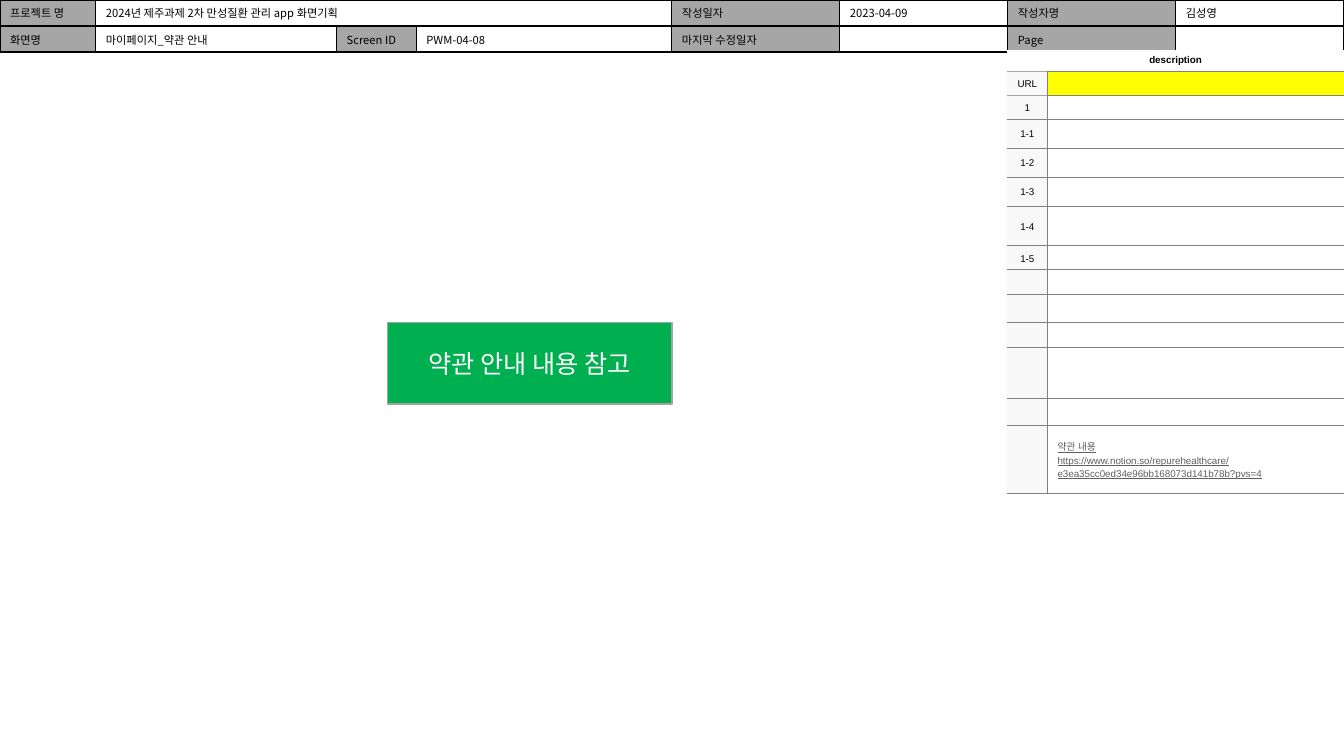
from lxml.etree import SubElement
from pptx import Presentation
from pptx.dml.color import RGBColor
from pptx.enum.shapes import MSO_SHAPE
from pptx.enum.text import MSO_ANCHOR, PP_ALIGN
from pptx.oxml.ns import qn
from pptx.util import Pt

BLACK = RGBColor(0x00, 0x00, 0x00)
WHITE = RGBColor(0xFF, 0xFF, 0xFF)
LABEL = RGBColor(0xA6, 0xA6, 0xA6)
GRID = RGBColor(0x80, 0x80, 0x80)
PALE = RGBColor(0xF8, 0xF8, 0xF8)
YELLOW = RGBColor(0xFF, 0xFF, 0x00)
GREEN = RGBColor(0x00, 0xB0, 0x50)
OUTLINE = RGBColor(0xA3, 0xA3, 0xA3)
LINK = RGBColor(0x5F, 0x5F, 0x5F)
NO_STYLE = "{2D5ABB26-0587-4C30-8999-92F81FD0307C}"
KOREAN = "Noto Sans CJK KR"
LATIN = "Arial"

HEADER = [
    ["프로젝트 명", "2024년 제주과제 2차 만성질환 관리 app 화면기획", "", "",
     "작성일자", "2023-04-09", "작성자명", "김성영"],
    ["화면명", "마이페이지_약관 안내", "Screen ID", "PWM-04-08",
     "마지막 수정일자", "", "Page", ""],
]
HEADER_COLS = [68.4, 172, 57, 182.6] + [120] * 4
TERMS = ("약관 내용\n"
         "https://www.notion.so/repurehealthcare/e3ea35cc0ed34e96bb168073d141b78b?pvs=4")
KEYS = ["URL", "1", "1-1", "1-2", "1-3", "1-4", "1-5"] + [""] * 6
DESC_ROWS = [15, 17.2, 17.2, 20.7, 20.7, 20.7, 28.5, 17.2, 17.2, 20.7, 17.2, 36.4, 20, 48.5]


class Deck:
    def __init__(self):
        self.prs = Presentation()
        self.prs.slide_width, self.prs.slide_height = Pt(960), Pt(540)
        self.s = self.prs.slides.add_slide(self.prs.slide_layouts[6])

    def text(self, tf, text, size, font, color=BLACK, align=PP_ALIGN.LEFT,
             spacing=None, bold=False, underline=None):
        tf.text = text
        for p in tf.paragraphs:
            p.alignment = align
            p.line_spacing = spacing
            for r in p.runs:
                f = r.font
                f.size, f.name, f.bold, f.underline = Pt(size), font, bold, underline
                f.color.rgb = color
                SubElement(f._element, qn("a:ea"), typeface=font)
            if not p.runs:
                SubElement(p._p, qn("a:endParaRPr"), sz=str(size * 100))

    def table(self, x, y, cols, rows):
        frame = self.s.shapes.add_table(len(rows), len(cols), Pt(x), Pt(y),
                                        Pt(sum(cols)), Pt(sum(rows)))
        table = frame.table
        table.first_row = table.horz_banding = False
        table._tbl.tblPr.find(qn("a:tableStyleId")).text = NO_STYLE
        for column, width in zip(table.columns, cols):
            column.width = Pt(width)
        for row, height in zip(table.rows, rows):
            row.height = Pt(height)
        return table

    def cell(self, cell, text, fill, borders, width, **style):
        cell.margin_top = cell.margin_bottom = 0
        cell.vertical_anchor = MSO_ANCHOR.MIDDLE
        self.text(cell.text_frame, text, **style)
        tc_pr = cell._tc.get_or_add_tcPr()
        for side in "LRTB":
            if side in borders:
                ln = SubElement(tc_pr, qn(f"a:ln{side}"), w=str(Pt(width)))
                solid = SubElement(ln, qn("a:solidFill"))
                SubElement(solid, qn("a:srgbClr"), val=str(borders[side]))
        if fill is None:
            cell.fill.background()
        else:
            cell.fill.solid()
            cell.fill.fore_color.rgb = fill

    def box(self, x, y, w, h, text, fill, line, **style):
        sp = self.s.shapes.add_shape(MSO_SHAPE.RECTANGLE, Pt(x), Pt(y), Pt(w), Pt(h))
        sp.shadow.inherit = False
        sp.fill.solid()
        sp.fill.fore_color.rgb = fill
        sp.line.color.rgb = line
        sp.line.width = Pt(1)
        sp.text_frame.vertical_anchor = MSO_ANCHOR.MIDDLE
        self.text(sp.text_frame, text, **style)


def add_header(deck):
    table = deck.table(0, 0, HEADER_COLS, [18.6] * 2)
    for i, row in enumerate(HEADER):
        for j, text in enumerate(row):
            label = j % 2 == 0 and (i, j) != (0, 2)
            deck.cell(table.cell(i, j), text, LABEL if label else None,
                      dict.fromkeys("LRTB", BLACK), 1, size=8, font=KOREAN)
    table.cell(0, 1).merge(table.cell(0, 3))


def add_description(deck):
    table = deck.table(719.4, 35.5, [28.8, 211.8], DESC_ROWS)
    center = dict(size=7, font=LATIN, align=PP_ALIGN.CENTER)
    for j, title in enumerate(["description", ""]):
        deck.cell(table.cell(0, j), title, WHITE, {"B": LABEL}, 0.25, bold=True, **center)
    table.cell(0, 0).merge(table.cell(0, 1))
    for i, key in enumerate(KEYS, 1):
        top = LABEL if i <= 2 else GRID
        bottom = LABEL if i == 1 else GRID
        deck.cell(table.cell(i, 0), key, PALE, {"R": GRID, "T": top, "B": bottom},
                  0.25, spacing=1.2, **center)
        deck.cell(table.cell(i, 1), TERMS if i == len(KEYS) else "",
                  YELLOW if i == 1 else None, dict.fromkeys("LTB", GRID), 0.25,
                  size=7, font=LATIN, color=LINK, align=PP_ALIGN.JUSTIFY,
                  spacing=1.2, underline=True)


def main():
    deck = Deck()
    add_header(deck)
    add_description(deck)
    deck.box(277, 230.4, 203, 58.3, "약관 안내 내용 참고", GREEN, OUTLINE,
             size=18, font=KOREAN, color=WHITE, align=PP_ALIGN.CENTER)
    deck.prs.save("out.pptx")


if __name__ == "__main__":
    main()
